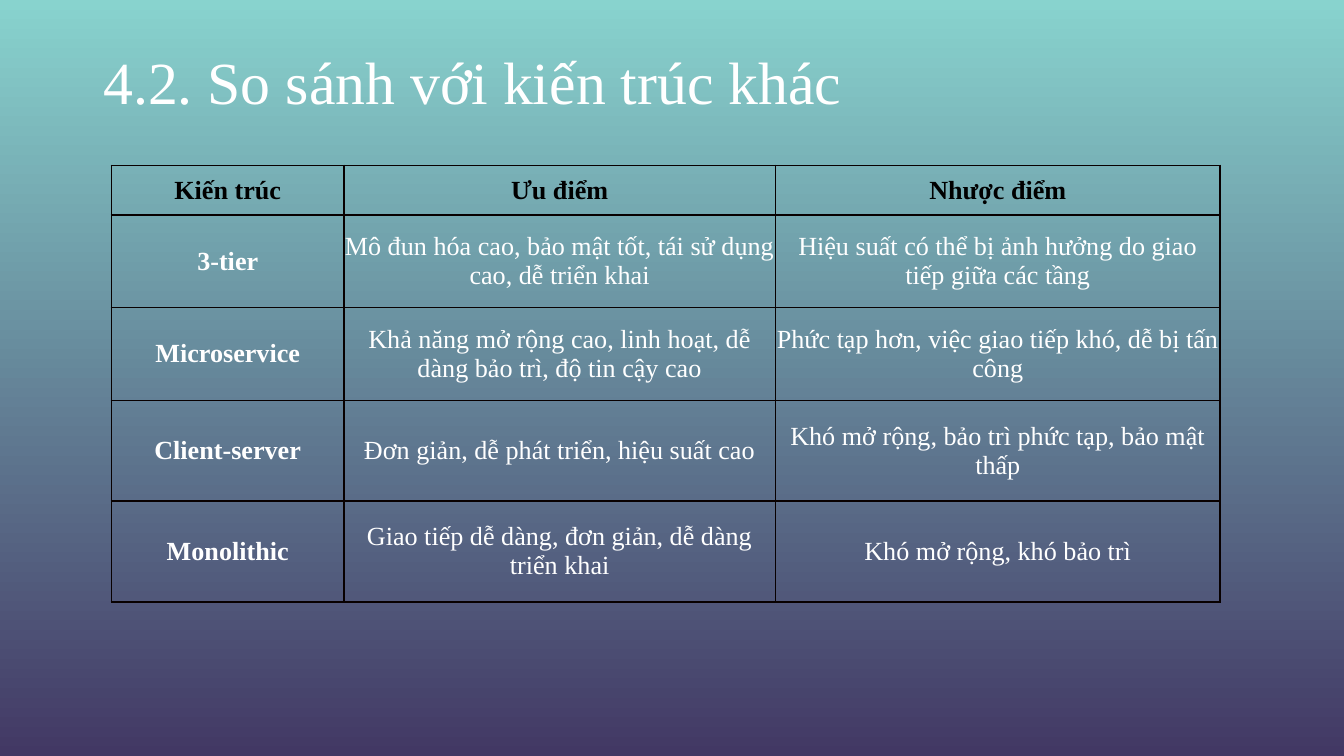
"""Build the slide that compares 3-tier with other architectures."""
import dataclasses

import lxml.etree
import pptx
import pptx.dml.color
import pptx.enum.text
import pptx.oxml.ns
import pptx.slide
import pptx.table
import pptx.text.text
import pptx.util

Inches = pptx.util.Inches
FONT = "Times New Roman"
WHITE, BLACK, BORDER = "FFFFFF", "000000", "080000"
BACKGROUND = ("88D3CE", "423864")
TITLE = "4.2. So sánh với kiến trúc khác"
SLIDE_WIDTH = 10
SLIDE_HEIGHT = SLIDE_WIDTH * 9 / 16
COLUMN_WIDTHS = (1.73, 3.21, 3.31)
SIDES = ("left", "right", "top", "bottom")


@dataclasses.dataclass(frozen=True)
class Architecture:
    name: str
    strengths: str
    weaknesses: str
    height: float
    color: str = WHITE
    bold: tuple[bool, bool, bool] = (True, False, False)


ROWS = (
    Architecture("Kiến trúc", "Ưu điểm", "Nhược điểm", 0.37, BLACK, (True, True, True)),
    Architecture(
        "3-tier",
        "Mô đun hóa cao, bảo mật tốt, tái sử dụng cao, dễ triển khai",
        "Hiệu suất có thể bị ảnh hưởng do giao tiếp giữa các tầng",
        0.69,
    ),
    Architecture(
        "Microservice",
        "Khả năng mở rộng cao, linh hoạt, dễ dàng bảo trì, độ tin cậy cao",
        "Phức tạp hơn, việc giao tiếp khó, dễ bị tấn công",
        0.69,
    ),
    Architecture(
        "Client-server",
        "Đơn giản, dễ phát triển, hiệu suất cao",
        "Khó mở rộng, bảo trì phức tạp, bảo mật thấp",
        0.75,
    ),
    Architecture(
        "Monolithic",
        "Giao tiếp dễ dàng, đơn giản, dễ dàng triển khai",
        "Khó mở rộng, khó bảo trì",
        0.75,
    ),
)


def rgb(value: str) -> pptx.dml.color.RGBColor:
    return pptx.dml.color.RGBColor.from_string(value)


def apply(target: object, values: dict[str, object]) -> None:
    for name, value in values.items():
        setattr(target, name, value)


def margins(inches: float) -> dict[str, object]:
    return {f"margin_{side}": Inches(inches) for side in SIDES}


def write(para: pptx.text.text._Paragraph, text: str, size: int, color: str, bold: bool) -> None:
    span = para.add_run()
    span.text = text
    apply(span.font, {"name": FONT, "size": pptx.util.Pt(size), "bold": bold})
    span.font.color.rgb = rgb(color)


def draw_borders(cell: pptx.table._Cell) -> None:
    qn = pptx.oxml.ns.qn
    properties = cell._tc.get_or_add_tcPr()
    for side in SIDES:
        tag = qn(f"a:ln{side[0].upper()}")
        line = lxml.etree.SubElement(properties, tag, w=str(pptx.util.Pt(1)))
        fill = lxml.etree.SubElement(line, qn("a:solidFill"))
        lxml.etree.SubElement(fill, qn("a:srgbClr"), val=BORDER)


def draw_cell(cell: pptx.table._Cell, text: str, color: str, bold: bool) -> None:
    apply(cell, {**margins(0), "vertical_anchor": pptx.enum.text.MSO_ANCHOR.MIDDLE})
    draw_borders(cell)
    cell.fill.background()
    para = cell.text_frame.paragraphs[0]
    para.alignment = pptx.enum.text.PP_ALIGN.CENTER
    write(para, text, 14, color, bold)


def draw_background(page: pptx.slide.Slide) -> None:
    fill = page.background.fill
    fill.gradient()
    fill.gradient_angle = 270
    for stop, color in zip(fill.gradient_stops, BACKGROUND):
        stop.color.rgb = rgb(color)


def draw_title(page: pptx.slide.Slide) -> None:
    box = page.shapes.add_textbox(Inches(0.67), Inches(0.23), Inches(5.93), Inches(0.73))
    apply(box.text_frame, {**margins(0.1), "word_wrap": True})
    write(box.text_frame.paragraphs[0], TITLE, 32, WHITE, False)


def draw_table(page: pptx.slide.Slide) -> None:
    width, height = sum(COLUMN_WIDTHS), sum(row.height for row in ROWS)
    table = page.shapes.add_table(
        len(ROWS), len(COLUMN_WIDTHS), Inches(0.83), Inches(1.23), Inches(width), Inches(height)
    ).table
    apply(table, {"first_row": False, "horz_banding": False})
    for column, column_width in zip(table.columns, COLUMN_WIDTHS):
        column.width = Inches(column_width)
    for table_row, row in zip(table.rows, ROWS):
        table_row.height = Inches(row.height)
        texts = (row.name, row.strengths, row.weaknesses)
        for cell, text, bold in zip(table_row.cells, texts, row.bold):
            draw_cell(cell, text, row.color, bold)


def main() -> None:
    deck = pptx.Presentation()
    apply(deck, {"slide_width": Inches(SLIDE_WIDTH), "slide_height": Inches(SLIDE_HEIGHT)})
    page = deck.slides.add_slide(deck.slide_layouts[6])
    draw_background(page)
    draw_title(page)
    draw_table(page)
    deck.save("out.pptx")


if __name__ == "__main__":
    main()
